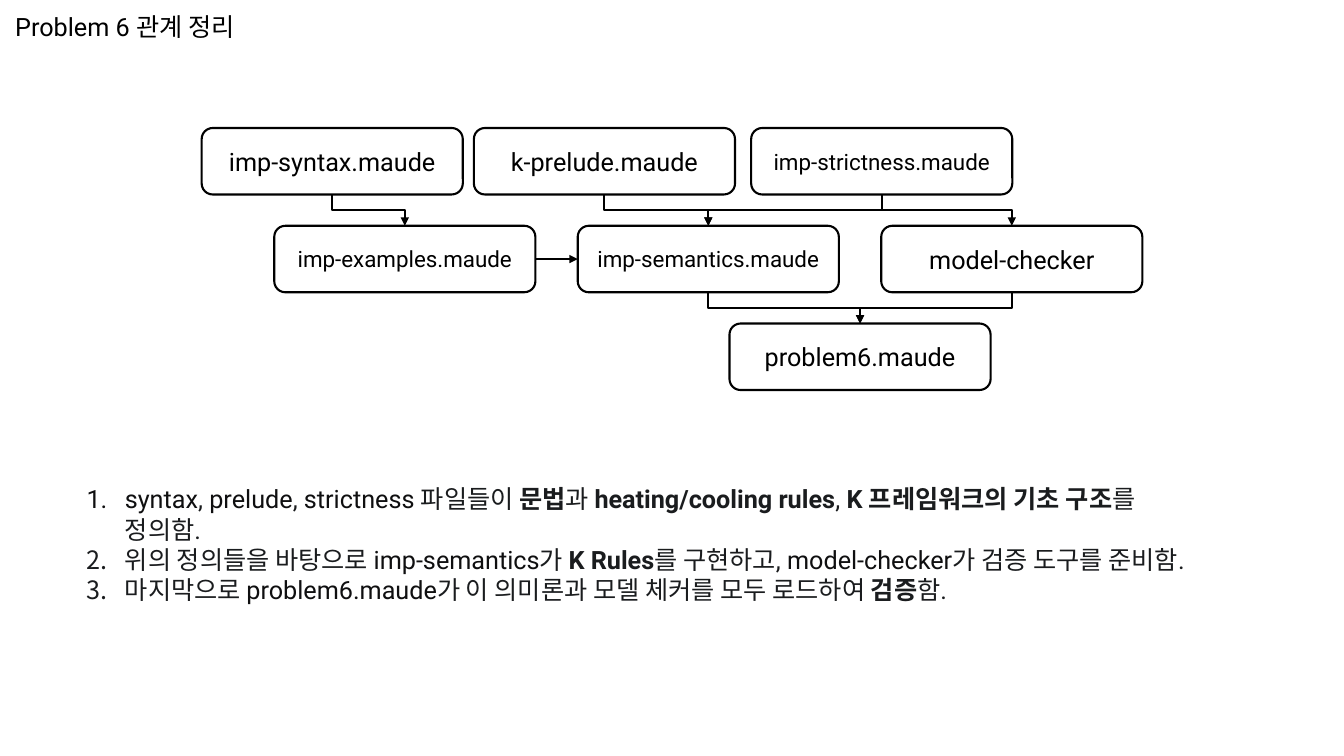
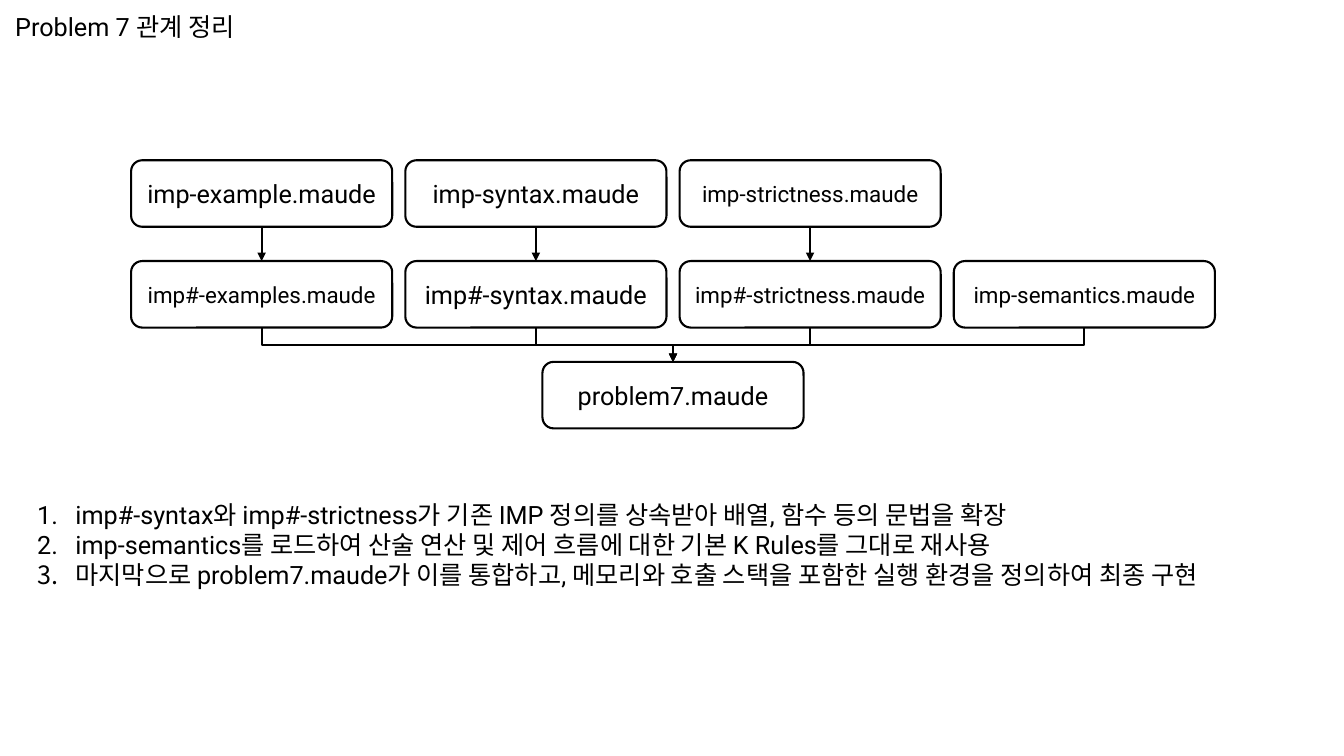
import pptx
import pptx.util
import pptx.dml.color
import pptx.enum.shapes
import pptx.enum.text
from pptx.oxml.ns import qn
from lxml import etree

Inches = pptx.util.Inches
Pt = pptx.util.Pt
BLACK = pptx.dml.color.RGBColor(0x00, 0x00, 0x00)
WHITE = pptx.dml.color.RGBColor(0xFF, 0xFF, 0xFF)
BODY_INK = pptx.dml.color.RGBColor(0x1A, 0x1C, 0x1E)
CODE_INK = pptx.dml.color.RGBColor(0x0F, 0x0F, 0x10)

FONT = "Roboto"
FULL, SMALL = 18, 16
BOX_W, BOX_H = 2.59, 0.66
LINE_PT = 1.5
TOP, LEFT, BOTTOM, RIGHT = range(4)

BLACK_TEXT = (BLACK, False)
BODY = (BODY_INK, False)
STRONG = (BODY_INK, True)
CODE = (CODE_INK, False)


def format_run(run, size, colour, bold=False):
    """Give a run the deck's font with a size, colour and weight."""
    run.font.name = FONT
    run.font.size = Pt(size)
    run.font.color.rgb = colour
    run.font.bold = bold


def add_titled_slide(deck, heading):
    """Add a title-only slide with the small heading at top left."""
    slide = deck.slides.add_slide(deck.slide_layouts[5])
    title = slide.shapes.title
    title.left, title.top = Inches(0.05), Inches(0.06)
    title.width, title.height = Inches(2.6), Inches(0.4)
    frame = title.text_frame
    frame.text = heading
    frame.word_wrap = True
    frame.auto_size = pptx.enum.text.MSO_AUTO_SIZE.NONE
    frame.vertical_anchor = pptx.enum.text.MSO_ANCHOR.TOP
    frame.paragraphs[0].alignment = pptx.enum.text.PP_ALIGN.LEFT
    format_run(frame.paragraphs[0].runs[0], FULL, BLACK)
    return slide


def add_module(slide, left, top, name, size):
    """Draw one rounded module box with its file name."""
    module = slide.shapes.add_shape(
        pptx.enum.shapes.MSO_SHAPE.ROUNDED_RECTANGLE,
        Inches(left), Inches(top), Inches(BOX_W), Inches(BOX_H))
    module.shadow.inherit = False
    module.fill.solid()
    module.fill.fore_color.rgb = WHITE
    module.line.color.rgb = BLACK
    module.line.width = Pt(LINE_PT)
    frame = module.text_frame
    frame.text = name
    frame.vertical_anchor = pptx.enum.text.MSO_ANCHOR.MIDDLE
    frame.paragraphs[0].alignment = pptx.enum.text.PP_ALIGN.CENTER
    format_run(frame.paragraphs[0].runs[0], size, BLACK)
    return module


def turn_elbow(arrow, source, target):
    """Turn an elbow so that it leaves downwards and arrives from above."""
    start_x = source.left + source.width // 2
    start_y = source.top + source.height
    shift = target.left + target.width // 2 - start_x
    drop = target.top - start_y
    arrow.width, arrow.height = drop, abs(shift)
    arrow.left = start_x + (shift - drop) // 2
    arrow.top = start_y + (drop - abs(shift)) // 2
    frame = arrow.element.spPr.find(qn("a:xfrm"))
    frame.set("rot", str((270 if shift > 0 else 90) * 60000))
    frame.set("flipH", "1" if shift > 0 else "0")


def add_dependency(slide, source, target):
    """Connect two modules with an arrow, sideways within a row."""
    kinds = pptx.enum.shapes.MSO_CONNECTOR
    sideways = source.top == target.top
    straight = sideways or abs(source.left - target.left) < Inches(0.01)
    arrow = slide.shapes.add_connector(
        kinds.STRAIGHT if straight else kinds.ELBOW, 0, 0, 0, 0)
    arrow.begin_connect(source, RIGHT if sideways else BOTTOM)
    arrow.end_connect(target, LEFT if sideways else TOP)
    if not straight:
        turn_elbow(arrow, source, target)
    arrow.line.color.rgb = BLACK
    arrow.line.width = Pt(LINE_PT)
    properties = arrow.element.spPr
    etree.SubElement(properties.find(qn("a:ln")), qn("a:tailEnd"), type="triangle")
    etree.SubElement(properties, qn("a:effectLst"))


def add_diagram(slide, left, top, row_pitch, modules, dependencies):
    """Place modules by row and offset from a corner, then link them."""
    placed = {
        name: add_module(slide, left + offset, top + row * row_pitch, name, size)
        for name, row, offset, size in modules}
    for source, target in dependencies:
        add_dependency(slide, placed[source], placed[target])


def add_numbered_notes(slide, left, top, width, height, notes):
    """Write a numbered list; each note is a list of lines of styled runs."""
    box = slide.shapes.add_textbox(
        Inches(left), Inches(top), Inches(width), Inches(height))
    frame = box.text_frame
    frame.word_wrap = True
    for index, lines in enumerate(notes):
        paragraph = frame.add_paragraph() if index else frame.paragraphs[0]
        for line_index, line in enumerate(lines):
            if line_index:
                paragraph.add_line_break()
            for text, (colour, bold) in line:
                run = paragraph.add_run()
                run.text = text
                format_run(run, FULL, colour, bold)
        properties = paragraph._p.get_or_add_pPr()
        properties.set("marL", str(Inches(0.88)))
        properties.set("indent", str(Inches(-0.38)))
        etree.SubElement(properties, qn("a:buFont"), typeface=FONT)
        etree.SubElement(properties, qn("a:buAutoNum"), type="arabicPeriod")


def build_problem6(deck):
    """Build the module relations of problem 6."""
    slide = add_titled_slide(deck, "Problem 6 관계 정리")
    indent, pitch = 0.72, 3.01
    modules = [
        ("imp-syntax.maude", 0, 0, FULL),
        ("k-prelude.maude", 0, 2.7, FULL),
        ("imp-strictness.maude", 0, 5.45, SMALL),
        ("imp-examples.maude", 1, indent, SMALL),
        ("imp-semantics.maude", 1, indent + pitch, SMALL),
        ("model-checker", 1, indent + 2 * pitch, FULL),
        ("problem6.maude", 2, indent + 1.5 * pitch, FULL),
    ]
    dependencies = [
        ("imp-syntax.maude", "imp-examples.maude"),
        ("imp-examples.maude", "imp-semantics.maude"),
        ("k-prelude.maude", "imp-semantics.maude"),
        ("imp-strictness.maude", "imp-semantics.maude"),
        ("imp-strictness.maude", "model-checker"),
        ("imp-semantics.maude", "problem6.maude"),
        ("model-checker", "problem6.maude"),
    ]
    add_diagram(slide, 2, 1.27, 0.97, modules, dependencies)
    add_numbered_notes(slide, 0.26, 4.75, 12.51, 1.92, [
        [[("syntax", CODE), (", ", BODY), ("prelude", CODE), (", ", BODY),
          ("strictness ", CODE), ("파일들이 ", BODY), ("문법", STRONG),
          ("과 ", BODY), ("heating/cooling rules", STRONG), (", ", BODY),
          ("K 프레임워크의 기초 구조", STRONG), ("를 ", BODY)],
         [("정의함.", BODY)]],
        [[("위의 정의들을 바탕으로 ", BODY), ("imp-semantics", CODE),
          ("가 ", BODY), ("K Rules", STRONG), ("를 구현하고, ", BODY),
          ("model-checker", CODE), ("가 검증 도구를 준비함.", BODY)]],
        [[("마지막으로 ", BODY), ("problem6.maude", CODE),
          ("가 이 의미론과 모델 체커를 모두 로드하여 ", BODY),
          ("검증", STRONG), ("함.", BODY)]],
    ])


def build_problem7(deck):
    """Build the module relations of problem 7."""
    slide = add_titled_slide(deck, "Problem 7 관계 정리")
    pitch = 2.72
    base = [("imp-example.maude", FULL), ("imp-syntax.maude", FULL),
            ("imp-strictness.maude", SMALL)]
    extended = [("imp#-examples.maude", SMALL), ("imp#-syntax.maude", FULL),
                ("imp#-strictness.maude", SMALL), ("imp-semantics.maude", SMALL)]
    goal = "problem7.maude"
    modules = [
        (name, row, column * pitch, size)
        for row, names in enumerate((base, extended))
        for column, (name, size) in enumerate(names)]
    modules.append((goal, 2, 1.5 * pitch, FULL))
    dependencies = [(old[0], new[0]) for old, new in zip(base, extended)]
    dependencies += [(name, goal) for name, size in extended]
    add_diagram(slide, 1.3, 1.59, 1, modules, dependencies)
    notes = [
        "imp#-syntax와 imp#-strictness가 기존 IMP 정의를 상속받아 배열, 함수 등의 문법을 확장",
        "imp-semantics를 로드하여 산술 연산 및 제어 흐름에 대한 기본 K Rules를 그대로 재사용",
        "마지막으로 problem7.maude가 이를 통합하고, 메모리와 호출 스택을 포함한 실행 환경을 정의하여 최종 구현",
    ]
    add_numbered_notes(slide, -0.23, 4.9, 13.92, 1.01,
                       [[[(note, BLACK_TEXT)]] for note in notes])


def main():
    """Build and save the deck."""
    deck = pptx.Presentation()
    deck.slide_width, deck.slide_height = Inches(13.33), Inches(7.5)
    build_problem6(deck)
    build_problem7(deck)
    deck.save("out.pptx")


if __name__ == "__main__":
    main()
